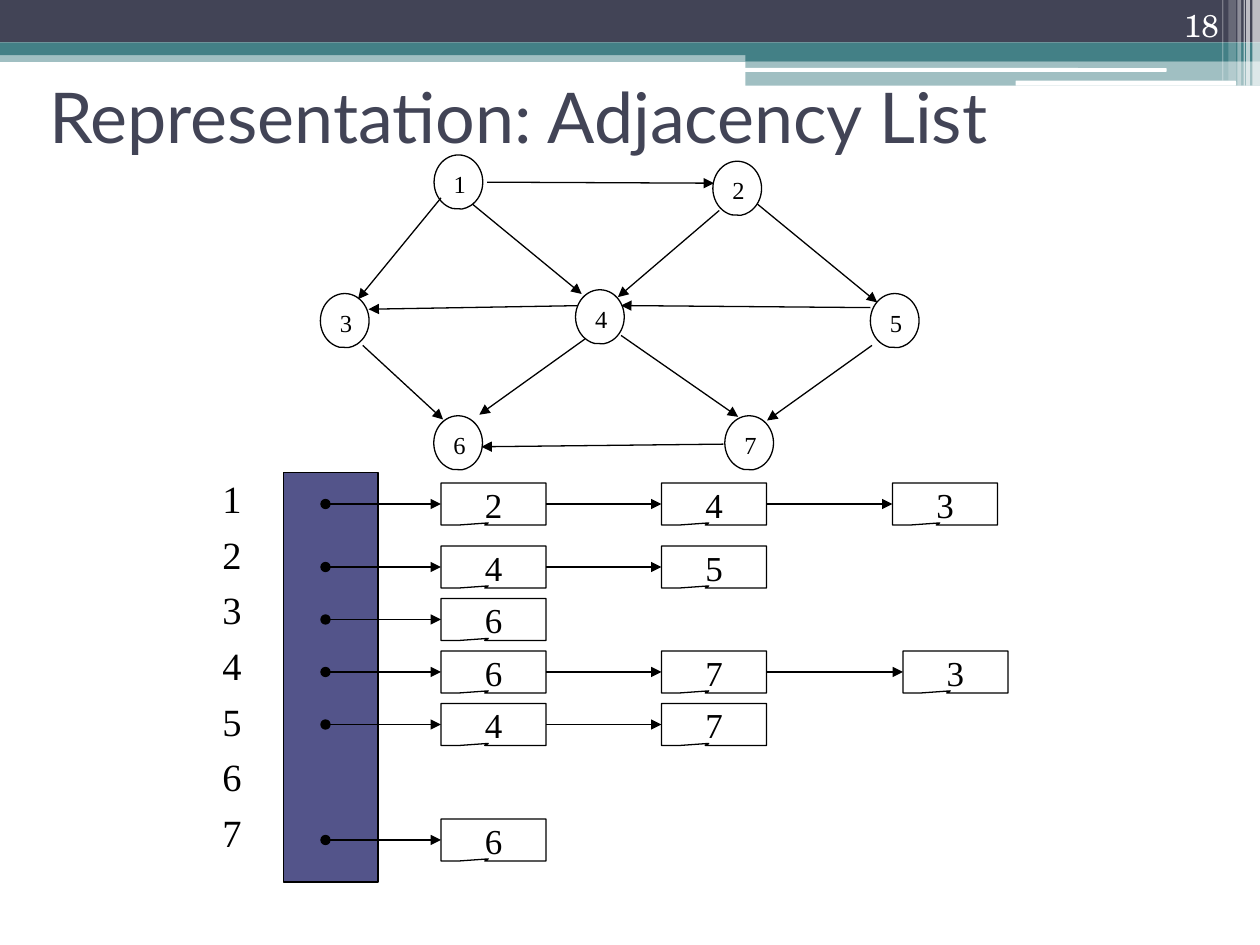
"""Build a slide that shows a directed graph and its adjacency list."""
from dataclasses import dataclass
from typing import NamedTuple, Optional

from lxml.etree import SubElement
from pptx import Presentation
from pptx.dml.color import RGBColor
from pptx.enum.shapes import MSO_CONNECTOR, MSO_SHAPE as Shape
from pptx.enum.text import MSO_ANCHOR as Anchor, PP_ALIGN as Align
from pptx.oxml.ns import qn
from pptx.util import Inches, Pt

COLUMNS, ROWS = 120, 90
NODE_WIDTH, NODE_HEIGHT = 4.64, 5.18
CELL_WIDTH, CELL_HEIGHT = 10, 4
POINTER_COLUMN = 31


@dataclass(frozen=True)
class Theme:
    """Colours, fonts and type sizes of the slide."""
    ink: str = "000000"
    paper: str = "FFFFFF"
    dark: str = "424456"
    teal: str = "438086"
    array: str = "53548A"
    title_font: str = "Lato"
    number_font: str = "TeX Gyre Schola"
    body_font: str = "Times New Roman"
    title_size: int = 40
    number_size: int = 18
    index_size: int = 22
    cell_size: int = 20
    node_size: int = 14
    line_width: float = 0.75


THEME = Theme()


class Box(NamedTuple):
    """A rectangle in grid columns and rows."""
    left: float
    top: float
    width: float
    height: float


class Band(NamedTuple):
    """A borderless part of the header decoration."""
    box: Box
    color: str
    opacity: int = 100
    kind: Shape = Shape.RECTANGLE


class Node(NamedTuple):
    """A graph vertex, placed by its top left corner."""
    label: str
    left: float
    top: float


class Edge(NamedTuple):
    """A straight line between two grid points."""
    from_column: float
    from_row: float
    to_column: float
    to_row: float


class Chain(NamedTuple):
    """The neighbours of one vertex along a grid row."""
    row: float
    vertices: str
    columns: tuple = (42, 63, 85)


class TextStyle(NamedTuple):
    """The look of a piece of text."""
    font: str
    size: int
    color: str = THEME.ink
    align: Align = Align.CENTER
    anchor: Anchor = Anchor.TOP
    wrap: bool = True


TITLE = TextStyle(THEME.title_font, THEME.title_size, THEME.dark, Align.LEFT, Anchor.MIDDLE)
NUMBER = TextStyle(THEME.number_font, THEME.number_size, THEME.paper, Align.RIGHT, Anchor.BOTTOM)
INDEX = TextStyle(THEME.body_font, THEME.index_size, align=Align.LEFT, wrap=False)
NODE = TextStyle(THEME.body_font, THEME.node_size)
CELL = TextStyle(THEME.body_font, THEME.cell_size, anchor=Anchor.MIDDLE, wrap=False)
INDEX_SPACING = {"line_spacing": 0.75, "space_before": Pt(12)}

BANDS = [
    Band(Box(0, 4.8, 120, 1.1), THEME.teal, 50),
    Band(Box(0, 0, 120, 4.05), THEME.dark),
    Band(Box(0, 4.05, 120, 1.2), THEME.teal),
    Band(Box(71, 4.64, 49, 1.16), THEME.teal),
    Band(Box(71, 5.8, 49, 2.36), THEME.teal, 50),
    Band(Box(70.9, 6.48, 40.2, 0.36), THEME.paper, kind=Shape.ROUNDED_RECTANGLE),
    Band(Box(96.72, 7.68, 21, 0.48), THEME.paper, kind=Shape.ROUNDED_RECTANGLE),
    Band(Box(119.28, 0, 0.72, 8.16), THEME.paper, 65),
    Band(Box(118.68, 0, 0.36, 8.16), THEME.paper, 65),
    Band(Box(118.44, 0, 0.12, 8.16), THEME.paper, 60),
    Band(Box(117.84, 0, 0.36, 8.16), THEME.paper, 40),
    Band(Box(117, 0, 0.72, 7.68), THEME.paper, 20),
    Band(Box(116.4, 0, 0.12, 7.68), THEME.paper, 30),
]
OUTER_NODES = [
    Node("1", 41.35, 14.76), Node("2", 67.9, 15.36), Node("3", 30.52, 27.96),
    Node("6", 41.32, 39.6), Node("7", 69.04, 39.6), Node("5", 82.9, 27.96),
]
CENTRE_NODE = Node("4", 54.82, 27.6)
EDGES = [
    Edge(46.4, 17.35, 68, 17.45), Edge(45, 19.45, 55.4, 28), Edge(42, 18.85, 34.1, 28.5),
    Edge(55.8, 29.1, 35.1, 29.45), Edge(72.15, 19.45, 83.55, 28.8), Edge(34.55, 32.9, 42.2, 39.95),
    Edge(68.5, 20.05, 58.85, 28.3), Edge(83.05, 32.9, 73.05, 40.05), Edge(68.9, 42.3, 45.85, 42.55),
    Edge(59.15, 31.95, 70.3, 39.7), Edge(55.7, 32.3, 45.65, 39.5), Edge(82.9, 29.3, 59.15, 29.1),
]
CHAINS = [
    Chain(48, "243"), Chain(54, "45"), Chain(59, "6"),
    Chain(64, "673", (42, 63, 86)), Chain(69, "47"), Chain(80, "6"),
]


def across(columns: float) -> int:
    """Turn grid columns into a slide length."""
    return Inches(10 * columns / COLUMNS)


def down(rows: float) -> int:
    """Turn grid rows into a slide length."""
    return Inches(7.5 * rows / ROWS)


def place(box: Box) -> tuple:
    """Turn a grid box into slide lengths."""
    return across(box.left), down(box.top), across(box.width), down(box.height)


def write(shape, lines: list, style: TextStyle, spacing: Optional[dict] = None) -> None:
    """Fill a shape with styled paragraphs."""
    frame = shape.text_frame
    frame.text = "\n".join(lines)
    frame.word_wrap, frame.vertical_anchor = style.wrap, style.anchor
    for paragraph in frame.paragraphs:
        for name, value in {"alignment": style.align, **(spacing or {})}.items():
            setattr(paragraph, name, value)
        font = paragraph.runs[0].font
        for name, value in {"name": style.font, "size": Pt(style.size)}.items():
            setattr(font, name, value)
        font.color.rgb = RGBColor.from_string(style.color)


def add_text(slide, box: Box, lines: list, style: TextStyle, spacing: Optional[dict] = None) -> None:
    """Add a text box."""
    write(slide.shapes.add_textbox(*place(box)), lines, style, spacing)


def outline(shape) -> None:
    """Give a shape or connector the thin ink line."""
    shape.line.color.rgb = RGBColor.from_string(THEME.ink)
    shape.line.width = Pt(THEME.line_width)


def add_filled(slide, kind: Shape, box: Box, color: str):
    """Add a flat shape with a solid fill."""
    shape = slide.shapes.add_shape(kind, *place(box))
    shape.shadow.inherit = False
    shape.fill.solid()
    shape.fill.fore_color.rgb = RGBColor.from_string(color)
    return shape


def add_band(slide, band: Band) -> None:
    """Add one part of the header decoration."""
    shape = add_filled(slide, band.kind, band.box, band.color)
    shape.line.fill.background()
    if band.opacity < 100:
        color = shape.element.spPr.find(".//" + qn("a:srgbClr"))
        SubElement(color, qn("a:alpha"), val=str(band.opacity * 1000))


def add_callout(slide, kind: Shape, box: Box, tip: tuple, label: str, style: TextStyle) -> None:
    """Add an outlined callout with a label."""
    shape = add_filled(slide, kind, box, THEME.paper)
    outline(shape)
    for index, value in enumerate(tip):
        shape.adjustments[index] = value
    write(shape, [label], style)


def add_node(slide, node: Node) -> None:
    """Add a graph vertex."""
    box = Box(node.left, node.top, NODE_WIDTH, NODE_HEIGHT)
    add_callout(slide, Shape.OVAL_CALLOUT, box, (-0.02, 0.49), node.label, NODE)


def add_arrow(slide, edge: Edge, dotted_start: bool = False) -> None:
    """Add an arrow, with a dot at its start if asked for."""
    connector = slide.shapes.add_connector(
        MSO_CONNECTOR.STRAIGHT, across(edge.from_column), down(edge.from_row),
        across(edge.to_column), down(edge.to_row))
    outline(connector)
    properties = connector.element.spPr
    line = properties.find(qn("a:ln"))
    if dotted_start:
        SubElement(line, qn("a:headEnd"), type="oval")
    SubElement(line, qn("a:tailEnd"), type="triangle")
    SubElement(properties, qn("a:effectLst"))


def add_chain(slide, chain: Chain) -> None:
    """Add the linked cells of one vertex."""
    start = POINTER_COLUMN
    for vertex, column in zip(chain.vertices, chain.columns):
        box = Box(column, chain.row - CELL_HEIGHT / 2, CELL_WIDTH, CELL_HEIGHT)
        add_callout(slide, Shape.RECTANGULAR_CALLOUT, box, (-0.05, 0.45), vertex, CELL)
        add_arrow(slide, Edge(start, chain.row, column, chain.row), start == POINTER_COLUMN)
        start = column + CELL_WIDTH


def main() -> None:
    """Build and save the presentation."""
    presentation = Presentation()
    presentation.slide_width, presentation.slide_height = across(COLUMNS), down(ROWS)
    slide = presentation.slides.add_slide(presentation.slide_layouts[6])
    for band in BANDS:
        add_band(slide, band)
    add_text(slide, Box(3.5, 4, 108, 14), ["Representation: Adjacency List"], TITLE)
    add_text(slide, Box(107.25, 0, 10, 4.8), ["18"], NUMBER)
    for node in OUTER_NODES:
        add_node(slide, node)
    for edge in EDGES:
        add_arrow(slide, edge)
    add_node(slide, CENTRE_NODE)
    outline(add_filled(slide, Shape.RECTANGLE, Box(27, 45, 9, 39), THEME.array))
    add_text(slide, Box(20, 45.7, 4.2, 37.4), list("1234567"), INDEX, INDEX_SPACING)
    for chain in CHAINS:
        add_chain(slide, chain)
    presentation.save("out.pptx")


if __name__ == "__main__":
    main()
